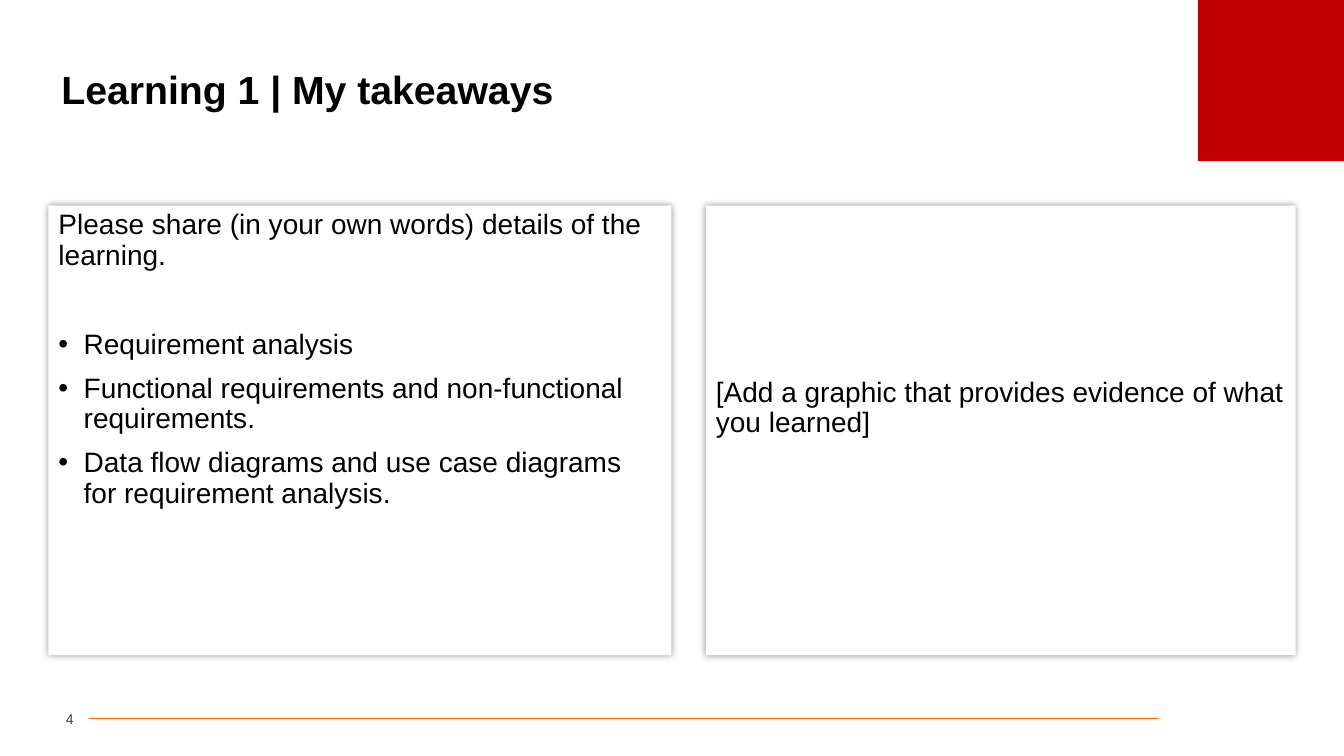
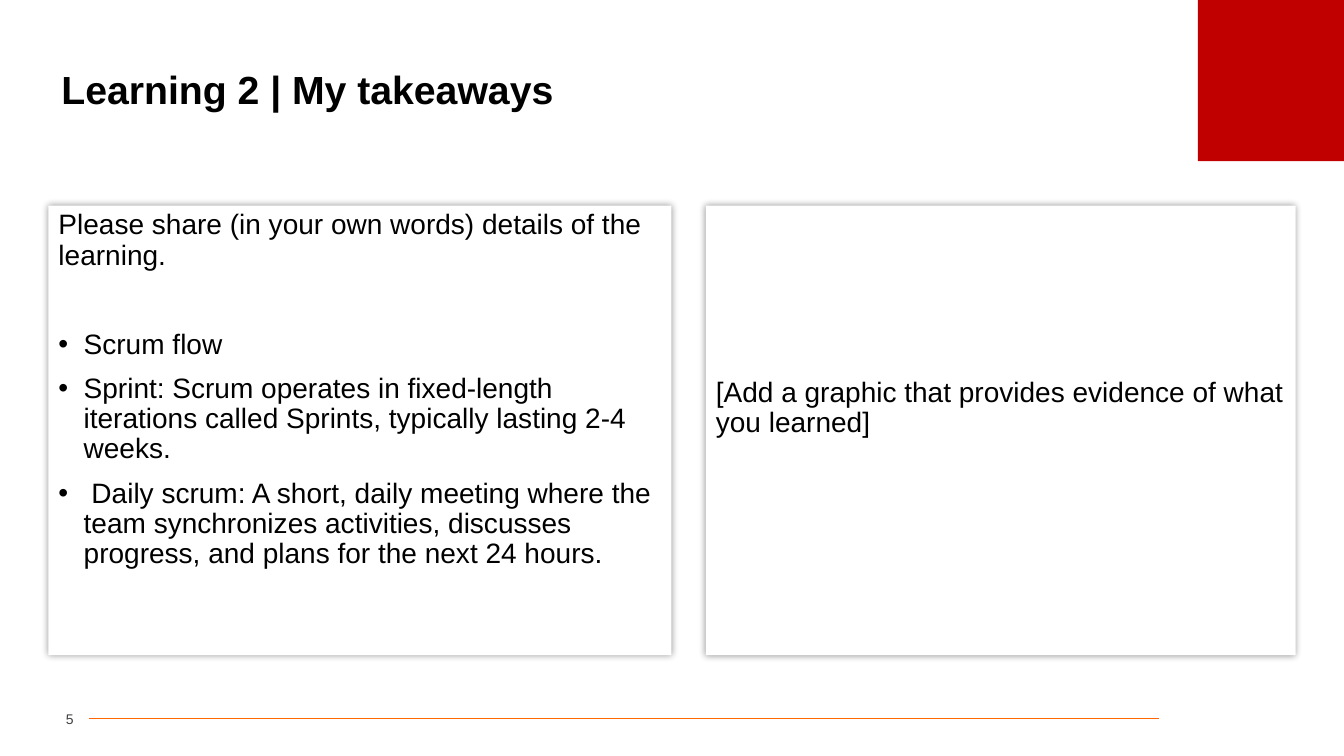
from dataclasses import dataclass

from lxml import etree
from pptx import Presentation
from pptx.dml.color import RGBColor
from pptx.enum.shapes import MSO_CONNECTOR, MSO_SHAPE
from pptx.enum.text import MSO_ANCHOR, MSO_AUTO_SIZE, PP_ALIGN
from pptx.oxml import parse_xml
from pptx.oxml.ns import nsdecls, qn
from pptx.util import Inches, Pt

LEFT, RIGHT = PP_ALIGN.LEFT, PP_ALIGN.RIGHT
TOP, MIDDLE = MSO_ANCHOR.TOP, MSO_ANCHOR.MIDDLE
NO_AUTOFIT = MSO_AUTO_SIZE.NONE
RECTANGLE, STRAIGHT = MSO_SHAPE.RECTANGLE, MSO_CONNECTOR.STRAIGHT


@dataclass(frozen=True)
class Theme:
    font: str = "Arial"
    text: RGBColor = RGBColor(0x00, 0x00, 0x00)
    number: RGBColor = RGBColor(0x40, 0x40, 0x40)
    panel: RGBColor = RGBColor(0xFF, 0xFF, 0xFF)
    corner: RGBColor = RGBColor(0xC0, 0x00, 0x00)
    rule: RGBColor = RGBColor(0xFF, 0x66, 0x00)
    title_size: int = 28
    body_size: int = 20
    number_size: int = 10
    line_spacing: float = 0.9
    paragraph_gap: int = 10
    list_gap: int = 42


THEME = Theme()
INTRODUCTION = "Please share (in your own words) details of the learning."
EVIDENCE = "[Add a graphic that provides evidence of what you learned]"
FIRST_NUMBER = 4
LEARNINGS = [
    ("Learning 1 | My takeaways", [
        "Requirement analysis",
        "Functional requirements and non-functional requirements.",
        "Data flow diagrams and use case diagrams for requirement analysis.",
    ]),
    ("Learning 2 | My takeaways", [
        "Scrum flow",
        "Sprint: Scrum operates in fixed-length iterations called Sprints, "
        "typically lasting 2-4 weeks.",
        " Daily scrum: A short, daily meeting where the team synchronizes "
        "activities, discusses progress, and plans for the next 24 hours.",
    ]),
]
PANEL_TOP, PANEL_HEIGHT = 2.04, 4.46
SHADOW = (
    f'<a:outerShdw {nsdecls("a")} blurRad="{Pt(5)}" dist="0" dir="0">'
    '<a:srgbClr val="000000"><a:alpha val="40000"/></a:srgbClr></a:outerShdw>'
)


def place(shape, left, top, width, height, anchor):
    shape.left, shape.top = Inches(left), Inches(top)
    shape.width, shape.height = Inches(width), Inches(height)
    shape.text_frame.word_wrap = True
    shape.text_frame.auto_size = NO_AUTOFIT
    shape.text_frame.vertical_anchor = anchor


def style(paragraph, size, color, bold=False, align=LEFT):
    paragraph.alignment = align
    for run in paragraph.runs:
        run.font.name = THEME.font
        run.font.size = Pt(size)
        run.font.bold = bold
        run.font.color.rgb = color


presentation = Presentation()
presentation.slide_width, presentation.slide_height = Inches(13.33), Inches(7.5)
layout = presentation.slide_layouts.get_by_name("Two Content")

for index, (title_text, takeaways) in enumerate(LEARNINGS):
    slide = presentation.slides.add_slide(layout)

    # The corner block and footer rule go to the layout, so every slide shares them.
    if index == 0:
        corner = slide.shapes.add_shape(
            RECTANGLE, Inches(11.88), 0, Inches(1.46), Inches(1.6))
        corner.shadow.inherit = False
        corner.fill.solid()
        corner.fill.fore_color.rgb = THEME.corner
        corner.line.fill.background()
        rule = slide.shapes.add_connector(
            STRAIGHT, Inches(0.88), Inches(7.13), Inches(11.5), Inches(7.13))
        rule.line.color.rgb = THEME.rule
        rule.line.width = Pt(0.5)
        etree.SubElement(rule.element.spPr, qn("a:effectLst"))
        for shared in (rule, corner):
            layout.shapes.element.append(shared.element)

    title, takeaway_panel, evidence_panel = slide.placeholders
    place(title, 0.51, 0.52, 12.31, 0.78, MIDDLE)
    title.text_frame.text = title_text
    title_paragraph = title.text_frame.paragraphs[0]
    title_paragraph.line_spacing = THEME.line_spacing
    style(title_paragraph, THEME.title_size, THEME.text, bold=True)

    place(takeaway_panel, 0.48, PANEL_TOP, 6.18, PANEL_HEIGHT, TOP)
    place(evidence_panel, 7, PANEL_TOP, 5.85, PANEL_HEIGHT, MIDDLE)
    takeaway_panel.text_frame.text = "\n".join([INTRODUCTION, *takeaways])
    evidence_panel.text_frame.text = EVIDENCE
    evidence_panel.text_frame.margin_bottom = Inches(0.49)

    for panel in (takeaway_panel, evidence_panel):
        panel.fill.solid()
        panel.fill.fore_color.rgb = THEME.panel
        panel.line.fill.background()
        panel.shadow.inherit = False
        panel.element.spPr.find(qn("a:effectLst")).append(parse_xml(SHADOW))
        for position, paragraph in enumerate(panel.text_frame.paragraphs):
            is_bullet = position > 0
            paragraph.line_spacing = THEME.line_spacing
            paragraph.space_before = Pt(
                THEME.list_gap if position == 1 else THEME.paragraph_gap)
            style(paragraph, THEME.body_size, THEME.text)
            properties = paragraph._p.get_or_add_pPr()
            indent = Inches(0.25) if is_bullet else 0
            properties.set("marL", str(indent))
            properties.set("indent", str(-indent))
            if is_bullet:
                etree.SubElement(properties, qn("a:buChar"), char="•")
            else:
                etree.SubElement(properties, qn("a:buNone"))

    number = slide.shapes.add_textbox(0, 0, 0, 0)
    place(number, 0.33, 6.99, 0.4, 0.29, MIDDLE)
    number.text_frame.margin_left = number.text_frame.margin_right = 0
    number.text_frame.text = str(FIRST_NUMBER + index)
    style(number.text_frame.paragraphs[0], THEME.number_size, THEME.number, align=RIGHT)

presentation.save("out.pptx")
